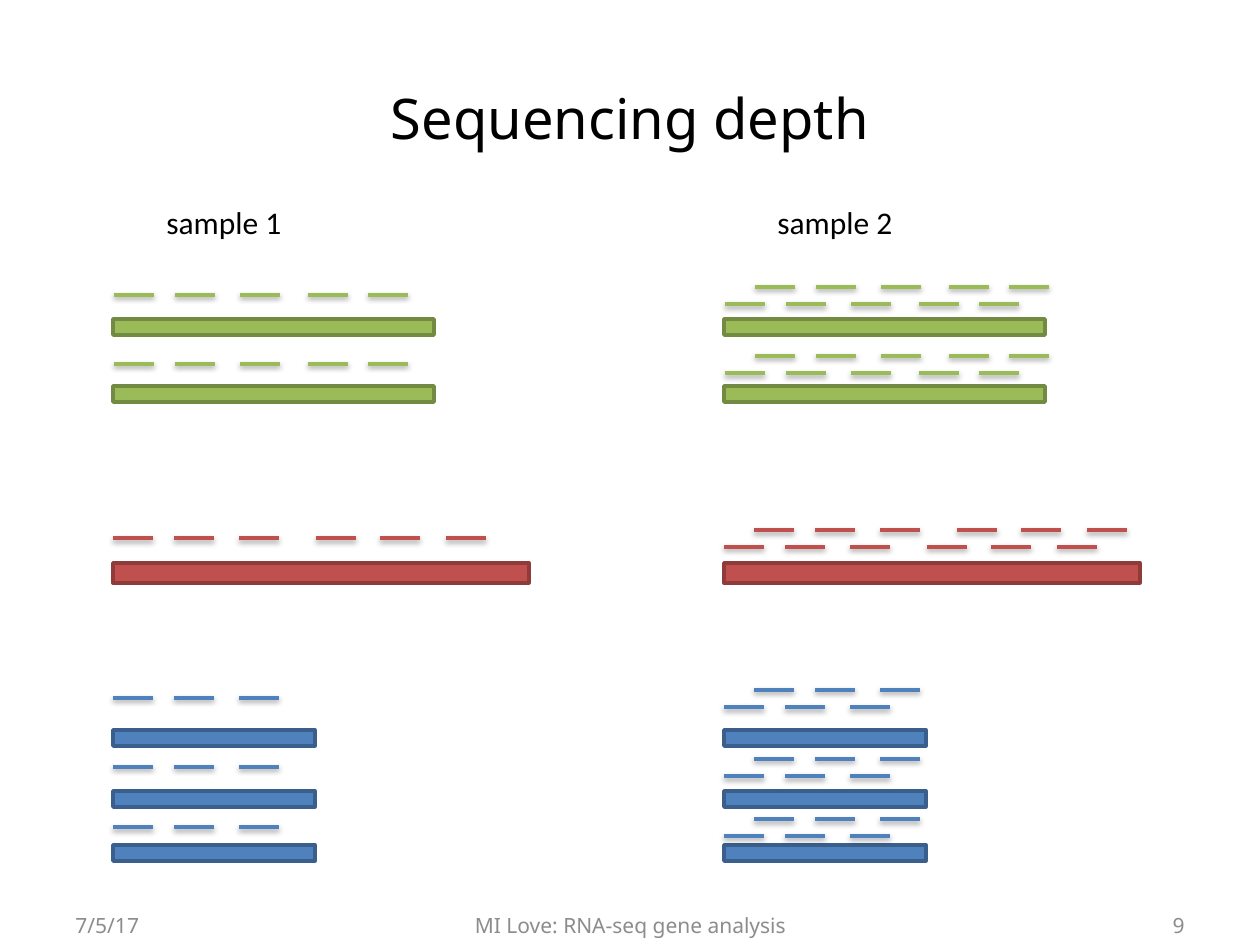
"""Build a slide comparing sequencing depth in two samples."""
import lxml.etree
import pptx
import pptx.dml.color
import pptx.enum.shapes
import pptx.enum.text
import pptx.oxml.ns
import pptx.util

RGB = pptx.dml.color.RGBColor
ALIGN = pptx.enum.text.PP_ALIGN
ANCHOR = pptx.enum.text.MSO_ANCHOR
BLACK = RGB(0x00, 0x00, 0x00)
GRAY = RGB(0x8C, 0x8C, 0x8C)
GREEN, MOSS = RGB(0x9B, 0xBB, 0x59), RGB(0x73, 0x8A, 0x42)
RED, WINE = RGB(0xC0, 0x50, 0x4D), RGB(0x8E, 0x3B, 0x39)
BLUE, NAVY = RGB(0x4F, 0x81, 0xBD), RGB(0x3A, 0x5F, 0x8C)

TITLE = "Sequencing depth"
SAMPLES = [
    ("sample 1", 113, [(0, 0)]),
    ("sample 2", 724, [(0, 9), (30, -8)]),
]
GENES = [
    dict(fill=GREEN, edge=MOSS, size=(321, 16), bars=[319, 386],
         reads=[295, 364], starts=[1, 62, 127, 195, 255]),
    dict(fill=RED, edge=WINE, size=(416, 20), bars=[563],
         reads=[538], starts=[0, 61, 126, 203, 267, 333]),
    dict(fill=BLUE, edge=NAVY, size=(202, 16), bars=[730, 791, 845],
         reads=[698, 767, 827], starts=[0, 61, 126]),
]
FOOT = [
    ("7/5/17", 63, 294, ALIGN.LEFT),
    ("MI Love: RNA-seq gene analysis", 431, 399, ALIGN.CENTER),
    ("9", 903, 294, ALIGN.RIGHT),
]
READ = 40
SHADOW = (
    '<a:effectLst xmlns:a="http://schemas.openxmlformats.org/drawingml/2006/main">'
    '<a:outerShdw blurRad="40000" dist="20000" dir="5400000" rotWithShape="0">'
    '<a:srgbClr val="000000"><a:alpha val="38000"/></a:srgbClr>'
    '</a:outerShdw></a:effectLst>'
)


def px(*vals):
    return [pptx.util.Emu(round(val * 914400 / 126)) for val in vals]


def place(shape, box):
    shape.left, shape.top, shape.width, shape.height = px(*box)


def write(shape, text, size=18, font="Noto Sans", color=BLACK,
          align=ALIGN.LEFT, anchor=ANCHOR.MIDDLE, wrap=True):
    frame = shape.text_frame
    frame.word_wrap = wrap
    frame.vertical_anchor = anchor
    para = frame.paragraphs[0]
    para.alignment = align
    run = para.add_run()
    run.text = text
    run.font.size = pptx.util.Pt(size)
    run.font.name = font
    run.font.color.rgb = color


def add_bar(slide, box, fill, edge):
    bar = slide.shapes.add_shape(pptx.enum.shapes.MSO_SHAPE.RECTANGLE, *px(*box))
    bar.shadow.inherit = False
    bar.fill.solid()
    bar.fill.fore_color.rgb = fill
    bar.line.color.rgb = edge
    bar.line.width = pptx.util.Pt(2)


def add_read(slide, x, y, color):
    kind = pptx.enum.shapes.MSO_CONNECTOR.STRAIGHT
    read = slide.shapes.add_connector(kind, *px(x, y, x + READ, y))
    read.line.color.rgb = color
    read.line.width = pptx.util.Pt(2)
    props = read._element.find(pptx.oxml.ns.qn("p:spPr"))
    props.append(lxml.etree.fromstring(SHADOW))


def add_gene(slide, gene, left, rows):
    for top in gene["bars"]:
        add_bar(slide, (left, top, *gene["size"]), gene["fill"], gene["edge"])
    for y in gene["reads"]:
        for dx, dy in rows:
            for start in gene["starts"]:
                add_read(slide, left + start + dx, y + dy, gene["fill"])


def main():
    deck = pptx.Presentation()
    deck.slide_width, deck.slide_height = px(1260, 945)
    slide = deck.slides.add_slide(deck.slide_layouts[5])
    title = slide.shapes.title
    place(title, (63, 38, 1134, 158))
    write(title, TITLE, size=32, align=ALIGN.CENTER)
    for name, left, rows in SAMPLES:
        label = slide.shapes.add_textbox(*px(left + 41, 197, 141, 50))
        write(label, name, font="Calibri", anchor=ANCHOR.TOP, wrap=False)
        label.text_frame.auto_size = pptx.enum.text.MSO_AUTO_SIZE.SHAPE_TO_FIT_TEXT
        for gene in GENES:
            add_gene(slide, gene, left, rows)
    for text, left, width, align in FOOT:
        note = slide.shapes.add_textbox(*px(left, 900, width, 50))
        write(note, text, size=12, color=GRAY, align=align)
    deck.save("out.pptx")


if __name__ == "__main__":
    main()
